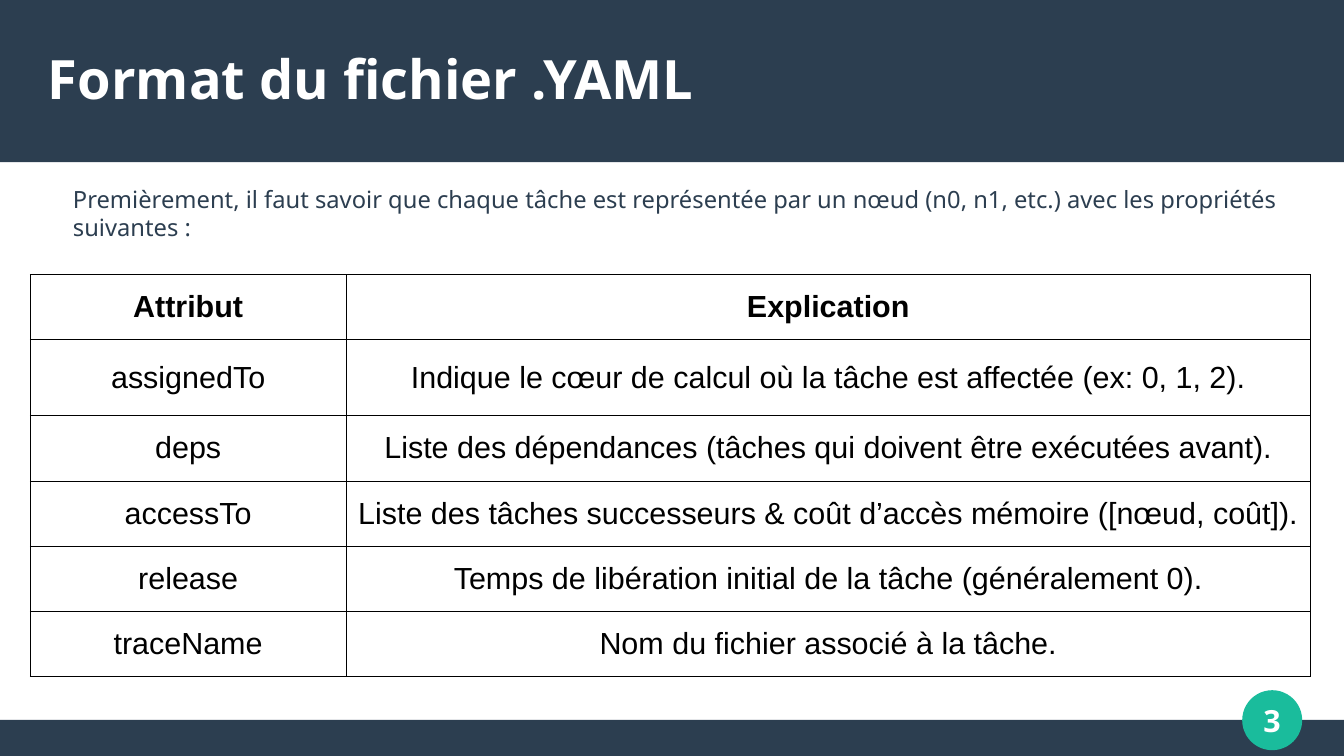
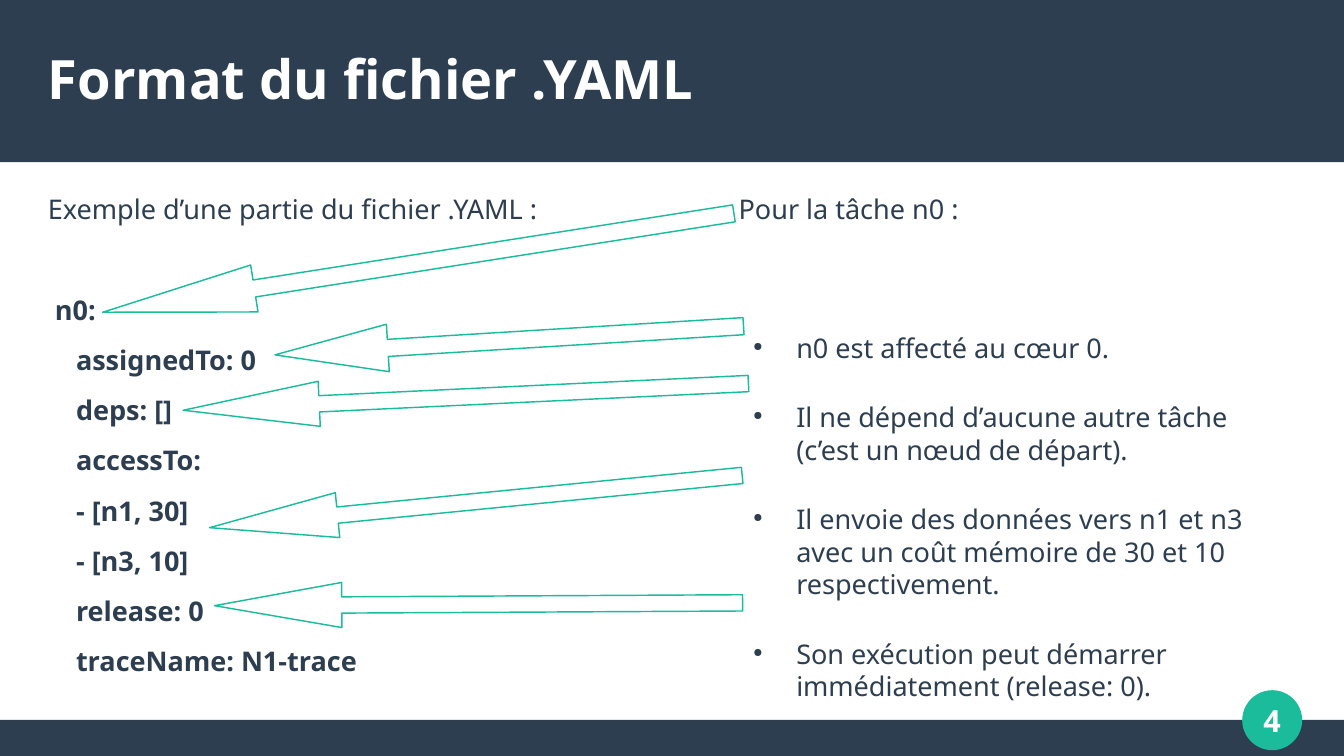
"""Build two slides on the YAML file format: an attribute table and an annotated example."""
from lxml import etree
from pptx import Presentation, util as u
from pptx.dml.color import RGBColor
from pptx.enum import shapes, text
from pptx.oxml import ns

COLORS = {"navy": "2C3E50", "teal": "1ABC9C", "white": "FFFFFF", "black": "000000"}
FONT = "Noto Sans"
TITLE = "Format du fichier .YAML"
LINE_HEIGHT = 19.2
CODE_GAP = 10.5
BULLET_GAP = 21.8


def style_text(frame, size, color, bold=False, name=FONT, align=text.PP_ALIGN.LEFT):
    for paragraph in frame.paragraphs:
        paragraph.alignment = align
        for run in paragraph.runs:
            run.font.name, run.font.size, run.font.bold = name, u.Pt(size), bold
            run.font.color.rgb = RGBColor.from_string(COLORS[color])


def add_text(slide, box, lines, anchor=text.MSO_ANCHOR.TOP, margins=(0, 0)):
    frame = slide.shapes.add_textbox(*map(u.Cm, box)).text_frame
    frame.word_wrap, frame.vertical_anchor = True, anchor
    frame.margin_left = frame.margin_right = u.Cm(margins[0])
    frame.margin_top = frame.margin_bottom = u.Cm(margins[1])
    frame.text = "\n".join(lines)
    return frame


presentation = Presentation()
presentation.slide_width, presentation.slide_height = u.Cm(28), u.Cm(15.75)
layout = presentation.slide_layouts.get_by_name("Title Only")
slides = [presentation.slides.add_slide(layout) for _ in range(2)]
table_slide, example_slide = slides

for kind, box, color in [
    (shapes.MSO_SHAPE.RECTANGLE, (0, 15, 28, 0.75), "navy"),
    (shapes.MSO_SHAPE.RECTANGLE, (0, 0, 28, 3.38), "navy"),
    (shapes.MSO_SHAPE.OVAL, (25.88, 14.38, 1.25, 1.25), "teal"),
]:
    shape = table_slide.shapes.add_shape(kind, *map(u.Cm, box))
    shape.shadow.inherit = False
    shape.fill.solid()
    shape.fill.fore_color.rgb = RGBColor.from_string(COLORS[color])
    shape.line.fill.background()
    layout.shapes.element.append(shape.element)

for number, slide in enumerate(slides, start=3):
    title = slide.shapes.title
    title.left, title.top, title.width, title.height = map(u.Cm, (1, 0.63, 26, 2))
    frame = title.text_frame
    frame.text = TITLE
    frame.vertical_anchor = text.MSO_ANCHOR.MIDDLE
    frame.auto_size = text.MSO_AUTO_SIZE.NONE
    frame.margin_left = frame.margin_right = frame.margin_top = frame.margin_bottom = 0
    style_text(frame, 32, "white", bold=True)
    page = add_text(slide, (25.5, 14.38, 2, 1.25), [str(number)], text.MSO_ANCHOR.MIDDLE)
    style_text(page, 18, "white", bold=True, align=text.PP_ALIGN.CENTER)

intro = add_text(
    table_slide, (1.27, 3.81, 25.86, 1.27),
    ["Premièrement, il faut savoir que chaque tâche est représentée par un nœud "
     "(n0, n1, etc.) avec les propriétés suivantes :"],
    text.MSO_ANCHOR.MIDDLE, (0.25, 0.13))
style_text(intro, 14, "navy")
intro.paragraphs[0].line_spacing = u.Pt(16.6)

ATTRIBUTES = [
    ("Attribut", "Explication"),
    ("assignedTo", "Indique le cœur de calcul où la tâche est affectée (ex: 0, 1, 2)."),
    ("deps", "Liste des dépendances (tâches qui doivent être exécutées avant)."),
    ("accessTo", "Liste des tâches successeurs & coût d’accès mémoire ([nœud, coût])."),
    ("release", "Temps de libération initial de la tâche (généralement 0)."),
    ("traceName", "Nom du fichier associé à la tâche."),
]
graphic = table_slide.shapes.add_table(
    len(ATTRIBUTES), 2, *map(u.Cm, (0.63, 5.72, 26.67, 8.38)))
table = graphic.table
table.horz_banding = False
for column, width in zip(table.columns, (6.58, 20.09)):
    column.width = u.Cm(width)
for row_index, values in enumerate(ATTRIBUTES):
    table.rows[row_index].height = u.Cm(1.58 if row_index == 1 else 1.36)
    for column_index, value in enumerate(values):
        cell = table.cell(row_index, column_index)
        cell.text = value
        cell.vertical_anchor = text.MSO_ANCHOR.MIDDLE
        cell.margin_left = cell.margin_right = u.Cm(0.1)
        cell.margin_top = cell.margin_bottom = u.Cm(0.13)
        style_text(cell.text_frame, 18, "black", row_index == 0, "Arial", text.PP_ALIGN.CENTER)
        properties = cell._tc.get_or_add_tcPr()
        for side in ("a:lnL", "a:lnR", "a:lnT", "a:lnB"):
            border = etree.SubElement(properties, ns.qn(side), w=str(u.Pt(0.57)))
            fill = etree.SubElement(border, ns.qn("a:solidFill"))
            etree.SubElement(fill, ns.qn("a:srgbClr"), val=COLORS["black"])
        cell.fill.solid()
        cell.fill.fore_color.rgb = RGBColor.from_string(COLORS["white"])

code = add_text(example_slide, (1, 4.01, 11.07, 10.49), [
    "Exemple d’une partie du fichier .YAML :",
    " n0:",
    "    assignedTo: 0",
    "    deps: []",
    "    accessTo:",
    "    - [n1, 30]",
    "    - [n3, 10]",
    "    release: 0",
    "    traceName: N1-trace",
])
style_text(code, 16, "navy", bold=True)
code.paragraphs[0].runs[0].font.bold = False
for paragraph in code.paragraphs:
    paragraph.line_spacing = u.Pt(LINE_HEIGHT)
    paragraph.space_after = u.Pt(CODE_GAP)
code.paragraphs[0].space_after = u.Pt(2 * CODE_GAP + LINE_HEIGHT)

notes = add_text(example_slide, (15.39, 4.01, 11.07, 10.49), [
    "Pour la tâche n0 :",
    "n0 est affecté au cœur 0.",
    "Il ne dépend d’aucune autre tâche (c’est un nœud de départ).",
    "Il envoie des données vers n1 et n3 avec un coût mémoire de 30 et 10 respectivement.",
    "Son exécution peut démarrer immédiatement (release: 0).",
])
for paragraph in notes.paragraphs[1:]:
    properties = paragraph._p.get_or_add_pPr()
    properties.set("marL", str(u.Cm(1.2)))
    properties.set("indent", str(u.Cm(-0.9)))
    bullet_color = etree.SubElement(properties, ns.qn("a:buClr"))
    etree.SubElement(bullet_color, ns.qn("a:srgbClr"), val=COLORS["navy"])
    etree.SubElement(properties, ns.qn("a:buSzPct"), val="45000")
    etree.SubElement(properties, ns.qn("a:buChar"), char="●")
    paragraph.space_before = u.Pt(BULLET_GAP)
notes.paragraphs[1].space_before = u.Pt(2 * BULLET_GAP + LINE_HEIGHT)
style_text(notes, 16, "navy")
for paragraph in notes.paragraphs:
    paragraph.line_spacing = u.Pt(LINE_HEIGHT)

for box, rotation, head_length in [
    ((5.72, 6.6, 9.78, 0.99), 356.5, 2.38),
    ((3.81, 7.8, 11.79, 0.94), 357.3, 3.02),
    ((4.34, 9.98, 11.15, 0.94), 354.4, 2.85),
    ((4.47, 12.12, 11, 0.94), 359.7, 2.82),
    ((2.06, 4.98, 13.31, 0.99), 351.1, 3.23),
]:
    arrow = example_slide.shapes.add_shape(shapes.MSO_SHAPE.LEFT_ARROW, *map(u.Cm, box))
    arrow.rotation = rotation
    arrow.adjustments[0], arrow.adjustments[1] = 0.36, head_length
    arrow.shadow.inherit = False
    arrow.fill.solid()
    arrow.fill.fore_color.rgb = RGBColor.from_string(COLORS["white"])
    arrow.line.color.rgb = RGBColor.from_string(COLORS["teal"])
    arrow.line.width = u.Pt(0.85)

presentation.save("out.pptx")
